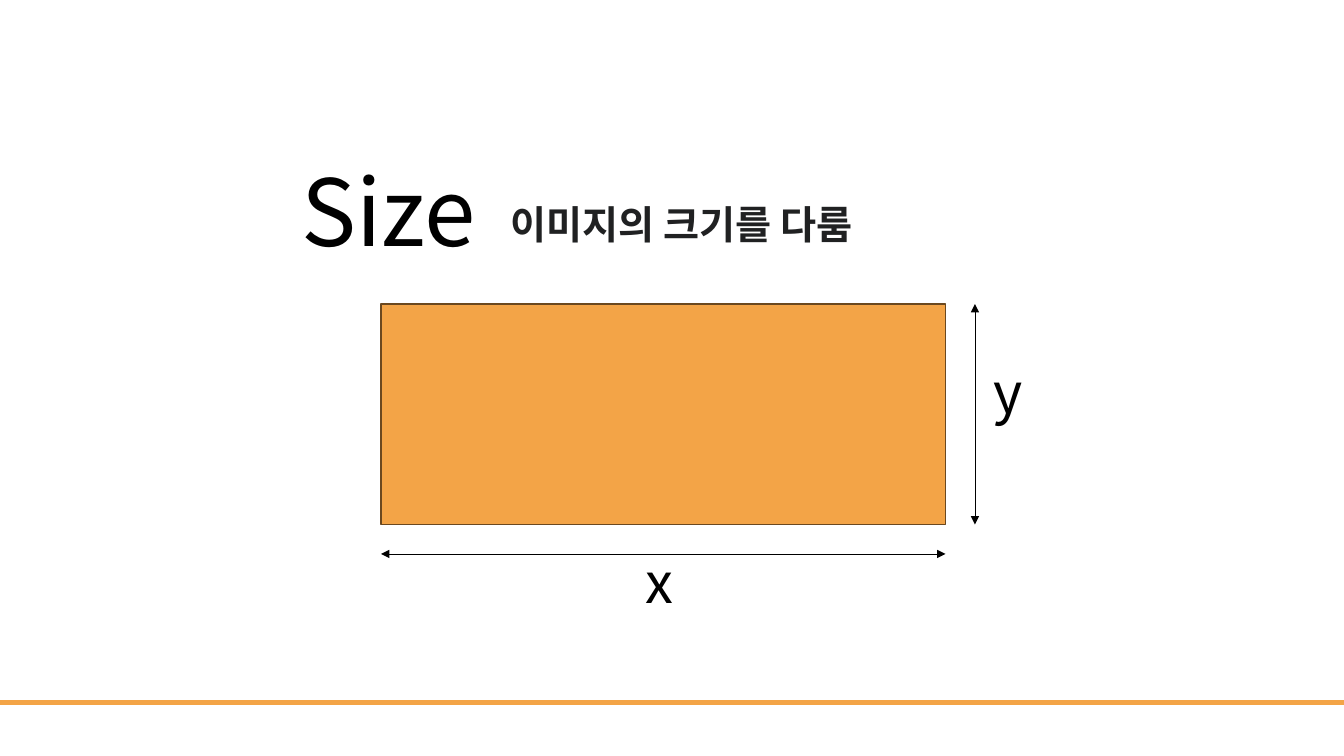
from dataclasses import dataclass

from pptx import Presentation
from pptx import util as u
from pptx.dml.color import RGBColor
from pptx.enum import shapes, text
from pptx.oxml.ns import qn
from lxml import etree


@dataclass(frozen=True)
class Theme:
    orange: RGBColor = RGBColor(0xF3, 0xA4, 0x47)
    brown: RGBColor = RGBColor(0x6B, 0x48, 0x1F)
    black: RGBColor = RGBColor(0, 0, 0)
    charcoal: RGBColor = RGBColor(0x20, 0x21, 0x22)
    display_font: str = "Noto Sans CJK KR"
    body_font: str = "Arial"
    title_size: int = 66
    label_size: int = 40
    subtitle_size: int = 28


THEME = Theme()
WIDTH, HEIGHT = 960, 540


def add_text(slide, box, words, size, font=THEME.display_font, color=THEME.black,
             bold=False, anchor=text.MSO_ANCHOR.MIDDLE, spacing=0.9):
    shape = slide.shapes.add_textbox(*(u.Pt(length) for length in box))
    frame = shape.text_frame
    frame.word_wrap = True
    frame.vertical_anchor = anchor
    paragraph = frame.paragraphs[0]
    paragraph.line_spacing = spacing
    run = paragraph.add_run()
    run.text = words
    run.font.size = u.Pt(size)
    run.font.name = font
    run.font.bold = bold
    run.font.color.rgb = color


def add_line(slide, start, end, color, width, arrows=False):
    line = slide.shapes.add_connector(
        shapes.MSO_CONNECTOR.STRAIGHT, *(u.Pt(length) for length in (*start, *end)))
    line.line.color.rgb = color
    line.line.width = u.Pt(width)
    if arrows:
        outline = line.line._get_or_add_ln()
        for tag in ("a:headEnd", "a:tailEnd"):
            etree.SubElement(outline, qn(tag)).set("type", "triangle")
    etree.SubElement(line._element.spPr, qn("a:effectLst"))


def add_heading(slide, left, top):
    add_text(slide, (left, top, 255.6, 103.7), "Size", THEME.title_size)
    add_text(slide, (left + 149.8, top + 36.7, 481, 41), "이미지의 크기를 다룸",
             THEME.subtitle_size, THEME.body_font, THEME.charcoal, bold=True,
             anchor=text.MSO_ANCHOR.TOP, spacing=1)


def add_size_diagram(slide, left, top, width, height):
    """Draw a rectangle with its x and y dimensions marked below and to the right."""
    right, bottom = left + width, top + height
    gap = 21
    label_width, label_height = 176.4, 67

    rectangle = slide.shapes.add_shape(
        shapes.MSO_SHAPE.RECTANGLE, *(u.Pt(length) for length in (left, top, width, height)))
    rectangle.shadow.inherit = False
    rectangle.fill.solid()
    rectangle.fill.fore_color.rgb = THEME.orange
    rectangle.line.color.rgb = THEME.brown
    rectangle.line.width = u.Pt(1)

    add_line(slide, (left, bottom + gap), (right, bottom + gap), THEME.black, 0.5, arrows=True)
    add_line(slide, (right + gap, top), (right + gap, bottom), THEME.black, 0.5, arrows=True)
    add_text(slide, (left + 182.1, bottom + 10.2, label_width, label_height),
             "x", THEME.label_size)
    add_text(slide, (right + gap + 6.1, top + 31.7, label_width, label_height),
             "y", THEME.label_size)


def add_footer_rule(slide, top):
    add_line(slide, (0, top), (WIDTH, top), THEME.orange, 3)


def main():
    presentation = Presentation()
    presentation.slide_width = u.Pt(WIDTH)
    presentation.slide_height = u.Pt(HEIGHT)
    slide = presentation.slides.add_slide(presentation.slide_layouts[6])
    add_footer_rule(slide, 501.8)
    add_heading(slide, 208, 103)
    add_size_diagram(slide, 272.2, 217.2, 403.2, 157.5)
    presentation.save("out.pptx")


if __name__ == "__main__":
    main()
